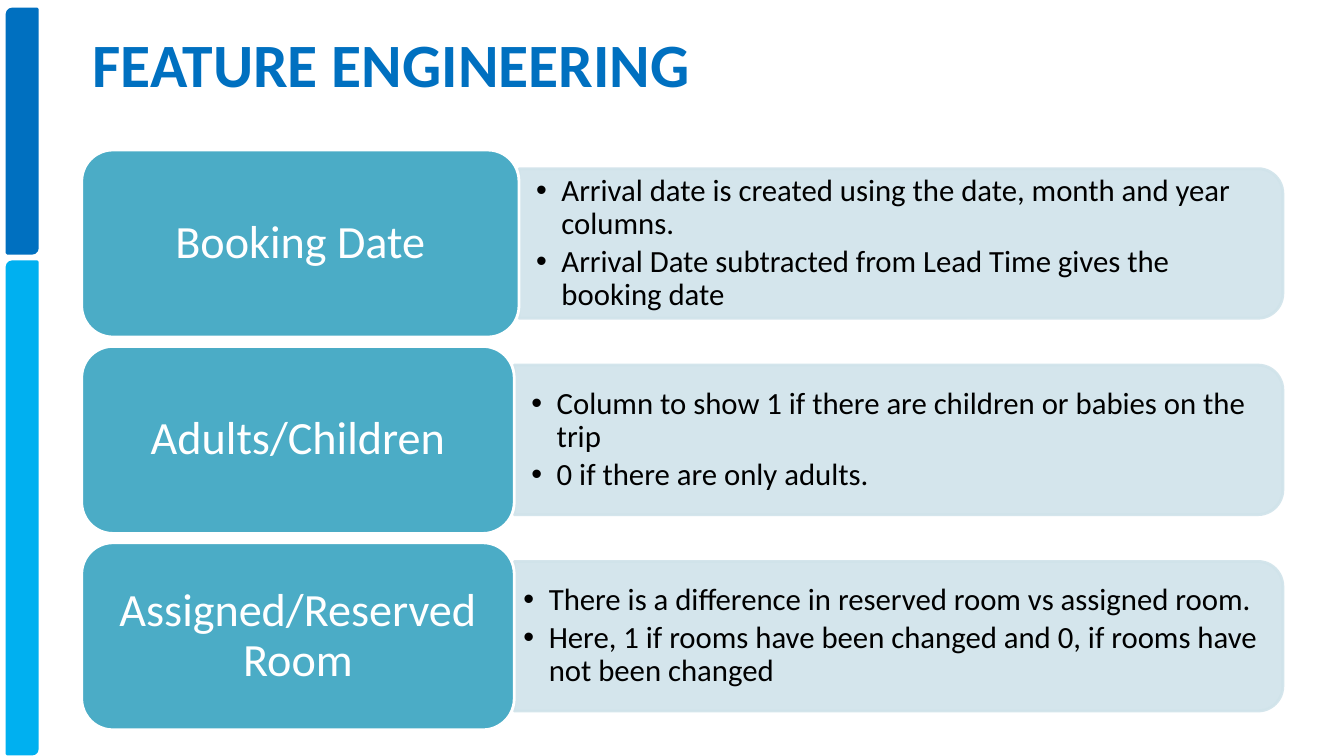
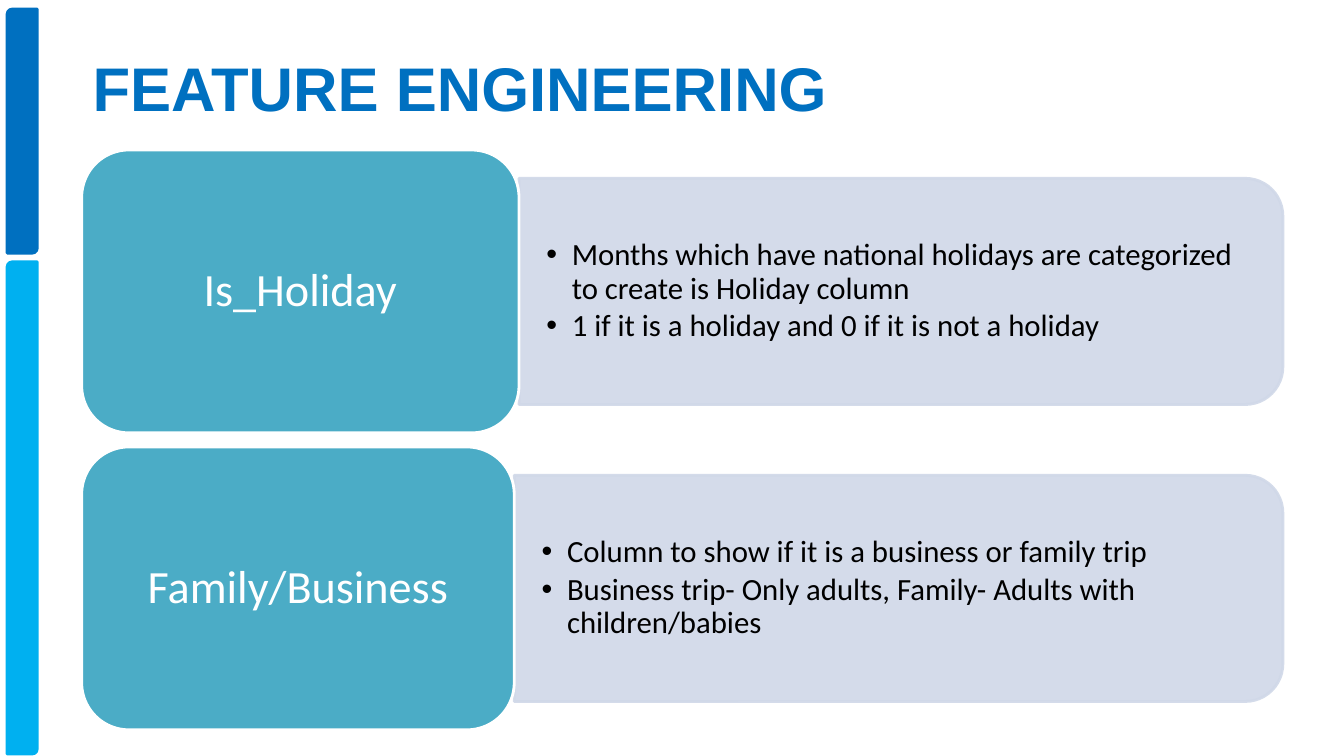
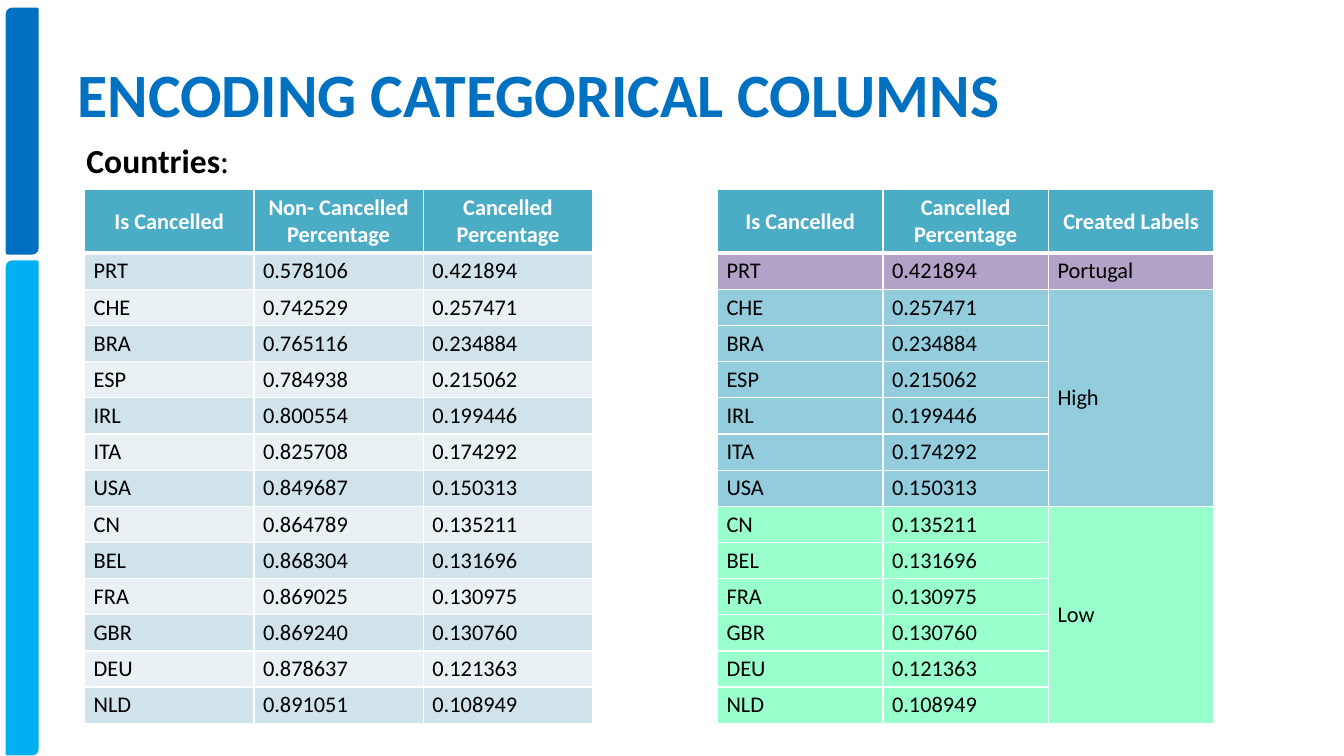
from dataclasses import dataclass
from typing import Any

from lxml import etree
from pptx import Presentation
from pptx import util as u
from pptx.dml.color import RGBColor
from pptx.enum import shapes, text
from pptx.oxml.ns import qn

FONT = "Calibri"
BLUE, SKY, TEAL = "0070C0", "00B0F0", "4BACC6"
PALE_TEAL, PALE_BLUE, MIST = "D0E3EA", "D0D8E8", "E9F1F5"
PURPLE, AQUA, MINT = "B3A2C7", "93CDDD", "99FFCC"
WHITE, BLACK = "FFFFFF", "000000"

TITLE_ONLY, COMPARISON = 5, 4
LEFT, CENTER = text.PP_ALIGN.LEFT, text.PP_ALIGN.CENTER
MIDDLE = text.MSO_ANCHOR.MIDDLE

# Feature rows, in centimetres
ROWS_LEFT, ROWS_TOP, ROWS_RIGHT, ROWS_HEIGHT = 2.06, 3.78, 32.33, 14.61
GAP_RATIO, PANEL_RATIO, LIST_RATIO = 0.05, 0.8, 0.9


@dataclass(frozen=True)
class Box:
    """A rectangle in centimetres."""
    left: float
    top: float
    width: float
    height: float

    def lengths(self) -> tuple[u.Cm, ...]:
        """Return left, top, width and height as lengths."""
        return tuple(u.Cm(n) for n in (self.left, self.top, self.width, self.height))


@dataclass(frozen=True)
class Band:
    """A coloured band at the left edge of every slide."""
    box: Box
    colour: str


@dataclass(frozen=True)
class Feature:
    """A heading with its bullet list."""
    heading: str
    bullets: tuple[str, ...]
    heading_width: float = 10.9
    insets: tuple[float, float] = (0.43, 0.23)


@dataclass(frozen=True)
class Grid:
    """Position and sizes of a table."""
    left: float
    column: float
    header: float
    top: float = 4.78
    row: float = 0.91


@dataclass(frozen=True)
class Label:
    """A created label and the number of countries it covers."""
    name: str
    count: int
    colour: str


BANDS = (
    Band(Box(0.18, 0.23, 0.76, 6.15), BLUE),
    Band(Box(0.18, 6.6, 0.76, 12.4), SKY),
)
CREATED_FEATURES = (
    Feature("Booking Date", (
        "Arrival date is created using the date, month and year columns.",
        "Arrival Date subtracted from Lead Time gives the booking date"), 11.02),
    Feature("Adults/Children", (
        "Column to show 1 if there are children or babies on the trip",
        "0 if there are only adults.")),
    Feature("Assigned/Reserved Room", (
        "There is a difference in reserved room vs assigned room.",
        "Here, 1 if rooms have been changed and 0, if rooms have not been changed"),
        insets=(0.23, 0.13)),
)
TRIP_FEATURES = (
    Feature("Is_Holiday", (
        "Months which have national holidays are categorized to create is Holiday column",
        "1 if it is a holiday and 0 if it is not a holiday"), 11.02, (0.69, 0.36)),
    Feature("Family/Business", (
        "Column to show if it is a business or family trip",
        "Business trip- Only adults, Family- Adults with children/babies"),
        insets=(0.69, 0.36)),
)
COUNTRIES = (
    ("PRT", "0.578106", "0.421894"),
    ("CHE", "0.742529", "0.257471"),
    ("BRA", "0.765116", "0.234884"),
    ("ESP", "0.784938", "0.215062"),
    ("IRL", "0.800554", "0.199446"),
    ("ITA", "0.825708", "0.174292"),
    ("USA", "0.849687", "0.150313"),
    ("CN", "0.864789", "0.135211"),
    ("BEL", "0.868304", "0.131696"),
    ("FRA", "0.869025", "0.130975"),
    ("GBR", "0.869240", "0.130760"),
    ("DEU", "0.878637", "0.121363"),
    ("NLD", "0.891051", "0.108949"),
)
LABELS = (Label("Portugal", 1, PURPLE), Label("High", 6, AQUA), Label("Low", 6, MINT))


def rgb(colour: str) -> RGBColor:
    """Turn a hex string into a colour."""
    return RGBColor.from_string(colour)


def format_paragraph(paragraph: Any, size: float, colour: str, bold: bool = False,
                     alignment: Any = LEFT, font: str = FONT) -> None:
    """Align a paragraph and format its runs."""
    paragraph.alignment = alignment
    for run in paragraph.runs:
        run.font.name, run.font.size, run.font.bold = font, u.Pt(size), bold
        run.font.color.rgb = rgb(colour)


def set_margins(target: Any, horizontal: float, vertical: float) -> None:
    """Set the inner margins of a text frame or a table cell."""
    target.margin_left = target.margin_right = u.Cm(horizontal)
    target.margin_top = target.margin_bottom = u.Cm(vertical)


def place(shape: Any, box: Box) -> None:
    """Move a placeholder to a box and fix its text in the middle."""
    shape.left, shape.top, shape.width, shape.height = box.lengths()
    frame = shape.text_frame
    frame.word_wrap, frame.auto_size = True, text.MSO_AUTO_SIZE.NONE
    frame.vertical_anchor = MIDDLE


def add_filled(slide: Any, kind: Any, box: Box, fill: str, line: str) -> Any:
    """Add a flat preset shape with a 2 pt outline."""
    shape = slide.shapes.add_shape(kind, *box.lengths())
    shape.shadow.inherit = False
    shape.fill.solid()
    shape.fill.fore_color.rgb = rgb(fill)
    shape.line.color.rgb = rgb(line)
    shape.line.width = u.Pt(2)
    return shape


def add_bands(presentation: Any, slide: Any) -> None:
    """Draw the bands and move them to the slide master."""
    master_tree = presentation.slide_master.shapes.element
    for number, band in enumerate(BANDS):
        shape = add_filled(slide, shapes.MSO_SHAPE.ROUND_2_DIAG_RECTANGLE,
                           band.box, band.colour, band.colour)
        shape.element.xpath(".//p:cNvPr")[0].set("id", str(100 + number))
        master_tree.insert(2 + number, shape.element)


def set_title(slide: Any, title: str, box: Box, alignment: Any = LEFT,
              font: str = FONT) -> None:
    """Fill and format the title placeholder."""
    shape = slide.shapes.title
    place(shape, box)
    shape.text_frame.text = title
    format_paragraph(shape.text_frame.paragraphs[0], 44, BLUE, True, alignment, font)


def add_bullet(paragraph: Any) -> None:
    """Give a paragraph a hanging round bullet."""
    properties = paragraph._p.get_or_add_pPr()
    properties.set("marL", str(u.Cm(0.64)))
    properties.set("indent", str(-u.Cm(0.64)))
    etree.SubElement(properties, qn("a:buFont")).set("typeface", "Arial")
    etree.SubElement(properties, qn("a:buChar")).set("char", "•")


def add_panel(slide: Any, box: Box, colour: str) -> None:
    """Add a translucent panel with its right corners rounded."""
    upright = Box(box.left + (box.width - box.height) / 2,
                  box.top + (box.height - box.width) / 2, box.height, box.width)
    panel = add_filled(slide, shapes.MSO_SHAPE.ROUND_2_SAME_RECTANGLE,
                       upright, colour, colour)
    panel.rotation = 90
    for tint in panel.element.spPr.iter(qn("a:srgbClr")):
        etree.SubElement(tint, qn("a:alpha")).set("val", "90000")


def fill_list(slide: Any, body: Any, box: Box, feature: Feature) -> None:
    """Write a feature's bullets in a body placeholder, in front of its panel."""
    slide.shapes.element.append(body.element)
    place(body, box)
    set_margins(body.text_frame, *feature.insets)
    body.text_frame.text = "\n".join(feature.bullets)
    for paragraph in body.text_frame.paragraphs:
        format_paragraph(paragraph, 22, BLACK)
        paragraph.line_spacing = 0.9
        paragraph.space_before, paragraph.space_after = u.Pt(0), u.Pt(3.3)
        add_bullet(paragraph)


def add_heading(slide: Any, box: Box, heading: str) -> None:
    """Add a rounded heading box."""
    shape = add_filled(slide, shapes.MSO_SHAPE.ROUNDED_RECTANGLE, box, TEAL, WHITE)
    frame = shape.text_frame
    frame.word_wrap, frame.vertical_anchor = True, MIDDLE
    set_margins(frame, 0.6, 0.4)
    frame.text = heading
    format_paragraph(frame.paragraphs[0], 33, WHITE, alignment=CENTER)
    frame.paragraphs[0].line_spacing = 0.9


def add_features(slide: Any, features: tuple[Feature, ...], colour: str) -> None:
    """Stack feature rows over the full height of the content area."""
    count = len(features)
    height = ROWS_HEIGHT / (count + (count - 1) * GAP_RATIO)
    panel_height = height * PANEL_RATIO
    list_height = panel_height * LIST_RATIO
    bodies = [body for body in slide.placeholders if body.placeholder_format.idx]
    for row, feature in enumerate(features):
        top = ROWS_TOP + row * height * (1 + GAP_RATIO)
        left = ROWS_LEFT + feature.heading_width
        width = ROWS_RIGHT - left
        add_panel(slide, Box(left, top + (height - panel_height) / 2,
                             width, panel_height), colour)
        fill_list(slide, bodies[row],
                  Box(left, top + (height - list_height) / 2,
                      width - (panel_height - list_height) / 2, list_height), feature)
        add_heading(slide, Box(ROWS_LEFT, top, feature.heading_width, height),
                    feature.heading)
    for body in bodies[count:]:
        body.element.getparent().remove(body.element)


def format_cell(cell: Any, fill: str, header: bool) -> None:
    """Format a cell's text, white borders and fill."""
    set_margins(cell, 0.23, 0.11)
    cell.vertical_anchor = MIDDLE
    format_paragraph(cell.text_frame.paragraphs[0], 16, WHITE if header else BLACK,
                     header, CENTER if header else LEFT)
    properties = cell._tc.get_or_add_tcPr()
    for side in "LRTB":
        width = u.Pt(3 if header and side == "B" else 1)
        border = etree.SubElement(properties, qn(f"a:ln{side}"), w=str(width))
        solid = etree.SubElement(border, qn("a:solidFill"))
        etree.SubElement(solid, qn("a:srgbClr"), val=WHITE)
    cell.fill.solid()
    cell.fill.fore_color.rgb = rgb(fill)


def add_grid(slide: Any, grid: Grid, rows: list[tuple[str, ...]],
             fills: list[str]) -> Any:
    """Add a table whose first row is the header, with one fill per row."""
    columns = len(rows[0])
    box = Box(grid.left, grid.top, grid.column * columns,
              grid.header + grid.row * (len(rows) - 1))
    table = slide.shapes.add_table(len(rows), columns, *box.lengths()).table
    for column in table.columns:
        column.width = u.Cm(grid.column)
    for index, (values, fill) in enumerate(zip(rows, fills)):
        table.rows[index].height = u.Cm(grid.row if index else grid.header)
        for column, value in enumerate(values):
            cell = table.cell(index, column)
            cell.text = value
            format_cell(cell, fill, index == 0)
    return table


def add_percentages(slide: Any) -> None:
    """Add the table of percentages by country."""
    header = ("Is Cancelled", "Non- Cancelled Percentage", "Cancelled Percentage")
    fills = [MIST if row % 2 else PALE_TEAL for row in range(len(COUNTRIES))]
    add_grid(slide, Grid(2.13, 4.27, 1.57), [header, *COUNTRIES], [TEAL, *fills])


def add_labels(slide: Any) -> None:
    """Add the table that groups countries under created labels."""
    rows = [("Is Cancelled", "Cancelled Percentage", "Created Labels")]
    fills = [TEAL]
    spans = []
    for label in LABELS:
        first = len(rows)
        spans.append((first, first + label.count - 1))
        for index in range(first, first + label.count):
            country, _, cancelled = COUNTRIES[index - 1]
            rows.append((country, cancelled, label.name if index == first else ""))
            fills.append(label.colour)
    table = add_grid(slide, Grid(18.08, 4.17, 1.6), rows, fills)
    for first, last in spans:
        if last > first:
            table.cell(first, 2).merge(table.cell(last, 2))


def add_subtitle(slide: Any) -> None:
    """Add the caption above the tables."""
    caption = slide.shapes.add_textbox(*Box(1.93, 3.4, 9.09, 1.27).lengths())
    caption.text_frame.word_wrap = True
    paragraph = caption.text_frame.paragraphs[0]
    for words in ("Countries", ":"):
        paragraph.add_run().text = words
    format_paragraph(paragraph, 24, BLACK)
    paragraph.runs[0].font.bold = True


def main() -> None:
    """Build and save the presentation."""
    presentation = Presentation()
    presentation.slide_width, presentation.slide_height = u.Cm(33.87), u.Cm(19.05)
    layouts = presentation.slide_layouts

    created = presentation.slides.add_slide(layouts[COMPARISON])
    add_bands(presentation, created)
    set_title(created, "FEATURE ENGINEERING", Box(2.08, 0, 25.02, 3.18))
    add_features(created, CREATED_FEATURES, PALE_TEAL)

    trips = presentation.slides.add_slide(layouts[COMPARISON])
    set_title(trips, "FEATURE ENGINEERING", Box(-0.91, 0.61, 25.02, 3.18),
              CENTER, "Arial")
    add_features(trips, TRIP_FEATURES, PALE_BLUE)

    encoding = presentation.slides.add_slide(layouts[TITLE_ONLY])
    set_title(encoding, "ENCODING CATEGORICAL COLUMNS", Box(1.7, 0.74, 30.48, 3.18))
    add_percentages(encoding)
    add_labels(encoding)
    add_subtitle(encoding)

    presentation.save("out.pptx")


main()
